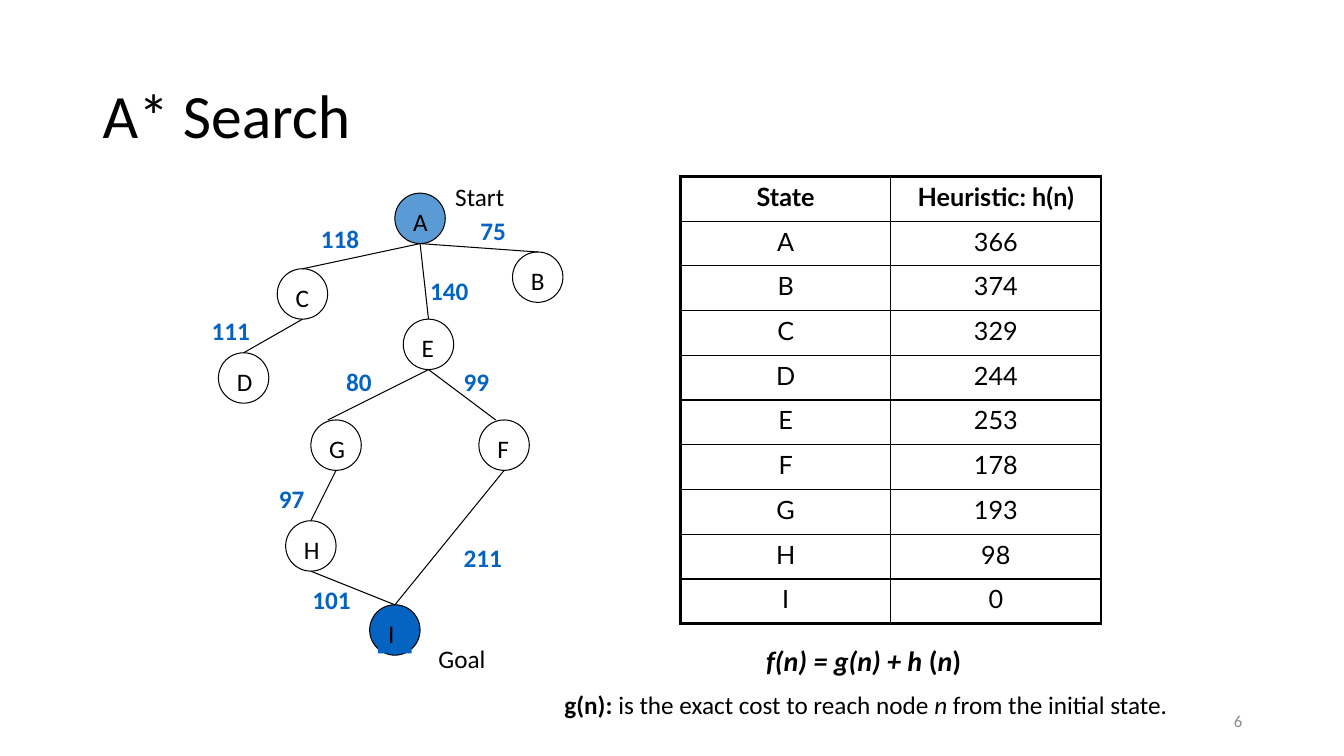
from lxml import etree
from pptx import Presentation
from pptx.dml.color import RGBColor
from pptx.enum.shapes import MSO_CONNECTOR, MSO_SHAPE
from pptx.enum.text import MSO_ANCHOR, PP_ALIGN
from pptx.oxml.ns import qn
from pptx.util import Inches, Pt

STRAIGHT = MSO_CONNECTOR.STRAIGHT
OVAL = MSO_SHAPE.OVAL
TOP, MIDDLE = MSO_ANCHOR.TOP, MSO_ANCHOR.MIDDLE
LEFT, CENTER, RIGHT = PP_ALIGN.LEFT, PP_ALIGN.CENTER, PP_ALIGN.RIGHT
BLACK = RGBColor(0x00, 0x00, 0x00)
GRAY = RGBColor(0x8C, 0x8C, 0x8C)
START_BLUE = RGBColor(0x5B, 0x9B, 0xD5)
GOAL_BLUE = RGBColor(0x05, 0x63, 0xC1)

UNIT = 1 / 12  # inches per step of the graph grid
NODE = 6       # node diameter in steps
LABEL_H = 0.4

# Top left corner of each node, in steps
NODES = {"A": (23, 2), "B": (37, 9), "C": (9, 11), "D": (2, 21), "E": (24, 17),
         "F": (33, 29), "G": (13, 29), "H": (10, 41), "I": (20, 51)}
NODE_FILLS = {"A": START_BLUE, "I": GOAL_BLUE}
# Parent, child, shift of the lower end, cost, left, top and width of the cost
EDGES = [
    ("A", "B", 0, "75", 32, 4, 8),
    ("A", "C", 0, "118", 13, 5, 10),
    ("A", "E", 0, "140", 26, 11.2, 10),
    ("C", "D", 0, "111", 0, 16, 10),
    ("E", "F", -1, "99", 30, 22, 8),
    ("E", "G", -1, "80", 16, 22, 8),
    ("G", "H", 0, "97", 8, 36, 8),
    ("H", "I", 0, "101", 12, 48, 11),
    ("F", "I", 0, "211", 30, 43, 10),
]
CAPTIONS = [("Start", 29, 0), ("Goal", 27, 55)]
HEURISTIC = [("State", "Heuristic: h(n)"), ("A", "366"), ("B", "374"),
             ("C", "329"), ("D", "244"), ("E", "253"), ("F", "178"),
             ("G", "193"), ("H", "98"), ("I", "0")]


def add_run(p, text, size=18, color=BLACK, bold=False, italic=False, font="Calibri"):
    r = p.add_run()
    r.text = text
    r.font.name, r.font.size = font, Pt(size)
    r.font.bold, r.font.italic = bold, italic
    r.font.color.rgb = color


def add_box(s, x, y, w, h, anchor=TOP):
    sp = s.shapes.add_textbox(Inches(x), Inches(y), Inches(w), Inches(h))
    sp.text_frame.word_wrap = True
    sp.text_frame.vertical_anchor = anchor
    return sp


def add_text(s, x, y, w, h, text, anchor=TOP, align=LEFT, **style):
    sp = add_box(s, x, y, w, h, anchor)
    p = sp.text_frame.paragraphs[0]
    p.alignment = align
    add_run(p, text, **style)
    return sp


def add_edge(s, x1, y1, x2, y2):
    line = s.shapes.add_connector(STRAIGHT, Inches(x1), Inches(y1), Inches(x2), Inches(y2))
    line.line.color.rgb = BLACK
    line.line.width = Pt(0.75)
    etree.SubElement(line._element.spPr, qn("a:effectLst"))


def add_node(s, x, y, name):
    size = Inches(NODE * UNIT)
    sp = s.shapes.add_shape(OVAL, Inches(x), Inches(y), size, size)
    sp.shadow.inherit = False
    sp.line.color.rgb = BLACK
    sp.line.width = Pt(0.75)
    label = add_text(s, x + UNIT, y + UNIT, 4 * UNIT, LABEL_H, name)
    sp.fill.background()
    if name in NODE_FILLS:
        sp.fill.solid()
        sp.fill.fore_color.rgb = NODE_FILLS[name]
    if name == "I":
        label.fill.solid()
        label.fill.fore_color.rgb = GOAL_BLUE


def add_graph(s, x, y):
    for name, (col, row) in NODES.items():
        add_node(s, x + col * UNIT, y + row * UNIT, name)
    for parent, child, shift, cost, col, row, width in EDGES:
        (c1, r1), (c2, r2) = NODES[parent], NODES[child]
        add_edge(s, x + (c1 + NODE / 2) * UNIT, y + (r1 + NODE) * UNIT,
                 x + (c2 + NODE / 2 + shift) * UNIT, y + r2 * UNIT)
        add_text(s, x + col * UNIT, y + row * UNIT, width * UNIT, LABEL_H, cost,
                 color=GOAL_BLUE, bold=True)
    for text, col, row in CAPTIONS:
        add_text(s, x + col * UNIT, y + row * UNIT, 16 * UNIT, LABEL_H, text)


def set_border(cell, side, width):
    ln = etree.SubElement(cell._tc.get_or_add_tcPr(), qn("a:" + side), w=str(Pt(width)))
    fill = etree.SubElement(ln, qn("a:solidFill"))
    etree.SubElement(fill, qn("a:srgbClr"), val=str(BLACK))


def add_heuristic_table(s, x, y, w, h):
    rows, cols = len(HEURISTIC), len(HEURISTIC[0])
    frame = s.shapes.add_table(rows, cols, Inches(x), Inches(y), Inches(w), Inches(h))
    for i, values in enumerate(HEURISTIC):
        for j, value in enumerate(values):
            cell = frame.table.cell(i, j)
            p = cell.text_frame.paragraphs[0]
            p.alignment = CENTER
            add_run(p, value, bold=i == 0, font="Lato")
            outer = {"lnL": j == 0, "lnR": j == cols - 1,
                     "lnT": i == 0, "lnB": i == rows - 1}
            for side, is_outer in outer.items():
                set_border(cell, side, 2.25 if is_outer else 1)
            cell.fill.background()


def add_formula(s, x, y, w, h):
    tf = add_box(s, x, y, w, h).text_frame
    p = tf.paragraphs[0]
    p._p.get_or_add_pPr().set("marL", str(Inches(2)))
    for text, italic in [("f(n) = g(n) + h ", True), ("(", False), ("n", True), (")", False)]:
        add_run(p, text, size=20, bold=True, italic=italic)
    p = tf.add_paragraph()
    p.space_before = Pt(9)
    add_run(p, "g(n): ", bold=True)
    add_run(p, "is the exact cost to reach node ")
    add_run(p, "n", italic=True)
    add_run(p, " from the initial state.")


def main():
    prs = Presentation()
    prs.slide_width, prs.slide_height = Inches(13.33), Inches(7.5)
    s = prs.slides.add_slide(prs.slide_layouts[6])
    add_text(s, 0.92, 0.4, 11.5, 1.45, "A* Search", anchor=MIDDLE, size=44)
    add_heuristic_table(s, 6.75, 1.75, 4.17, 4.44)
    add_text(s, 9.42, 6.95, 3, 0.4, "6", anchor=MIDDLE, align=RIGHT, size=12, color=GRAY)
    add_formula(s, 5.5, 6.33, 7.25, 0.89)
    add_graph(s, 2, 1.75)
    prs.save("out.pptx")


if __name__ == "__main__":
    main()
